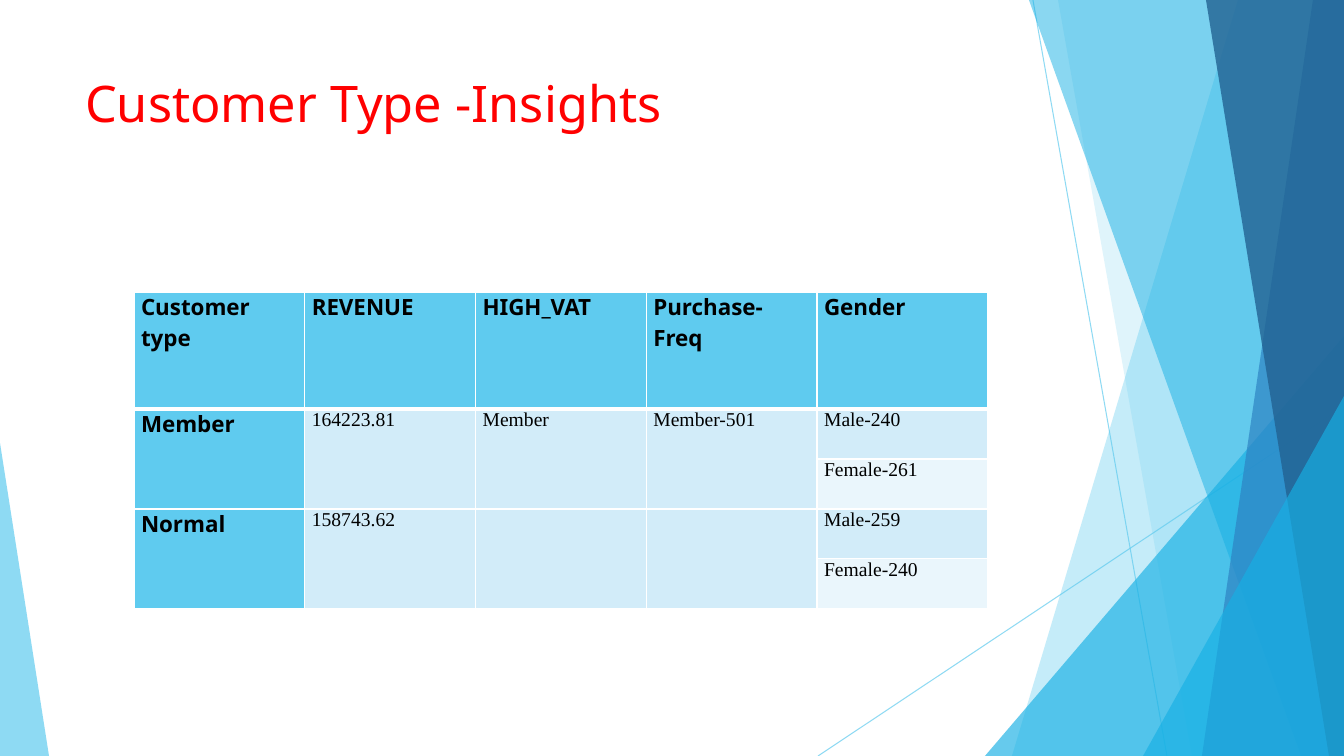
from pptx import Presentation
from pptx import util as u
from pptx.dml.color import RGBColor
from pptx.enum import shapes, text
from pptx.oxml.ns import qn
from lxml import etree

PX = 914400 / 100.8
WIDTH, HEIGHT = 1344, 756

SKY = RGBColor(0x5F, 0xCB, 0xEF)
CYAN = RGBColor(0x17, 0xB0, 0xE4)
BLUE = RGBColor(0x2E, 0x83, 0xC3)
NAVY = RGBColor(0x22, 0x62, 0x92)
PALE = RGBColor(0xD2, 0xEC, 0xF9)
PALEST = RGBColor(0xEA, 0xF6, 0xFC)
RED = RGBColor(0xFF, 0, 0)
BLACK = RGBColor(0, 0, 0)
WHITE = RGBColor(0xFF, 0xFF, 0xFF)

TITLE = "Customer Type -Insights"
TITLE_BOX = (75, 67, 948, 145)

HEADERS = ["Customer type", "REVENUE", "HIGH_VAT", "Purchase-Freq", "Gender"]
# Customer type, revenue, high VAT, purchase frequency, gender counts
CUSTOMERS = [
    ("Member", "164223.81", "Member", "Member-501", ("Male-240", "Female-261")),
    ("Normal", "158743.62", "", "", ("Male-259", "Female-240")),
]
TABLE_LEFT, TABLE_TOP, TABLE_WIDTH = 134, 292, 854
HEADER_HEIGHT, ROW_HEIGHT = 117, 50

# Hairlines: start x, start y, end x, end y
HAIRLINES = [(1033, 0, 1167, HEIGHT), (WIDTH, 406, 818, HEIGHT)]
# Bands reach the right edge: top left x, bottom left x, colour, opacity %
# Triangles: left, top, width, height, apex (0 left, 1 right), colour, opacity %
FACETS = [
    ("band", 1238, 1012, SKY, 36),
    ("band", 1058, 1192, SKY, 20),
    ("triangle", 985, 336, 359, 420, 1, CYAN, 66),
    ("band", 1029, 1301, CYAN, 50),
    ("band", 1313, 1202, BLUE, 70),
    ("band", 1206, 1329, NAVY, 80),
    ("triangle", 1143, 396, 201, 360, 1, CYAN, 66),
    ("triangle", 0, 443, 49, 313, 0, SKY, 70),
]


def px(*lengths):
    return [u.Emu(round(length * PX)) for length in lengths]


def set_opacity(shape, percent):
    for color in shape._element.iter(qn("a:srgbClr")):
        etree.SubElement(color, qn("a:alpha"), val=str(percent * 1000))


def add_hairline(page, ends):
    line = page.shapes.add_connector(shapes.MSO_CONNECTOR.STRAIGHT, *px(*ends))
    line.line.color.rgb = SKY
    line.line.width = u.Pt(0.75)
    set_opacity(line, 70)
    etree.SubElement(line._element.spPr, qn("a:effectLst"))


def add_facet(page, kind, *geometry, color, opacity):
    if kind == "band":
        top_x, bottom_x = geometry
        outline = page.shapes.build_freeform(top_x, 0, scale=PX)
        outline.add_line_segments(
            [(WIDTH, 0), (WIDTH, HEIGHT), (bottom_x, HEIGHT)], close=True)
        shape = outline.convert_to_shape()
    else:
        *box, apex = geometry
        shape = page.shapes.add_shape(
            shapes.MSO_SHAPE.ISOSCELES_TRIANGLE, *px(*box))
        shape.adjustments[0] = apex
    shape.shadow.inherit = False
    shape.fill.solid()
    shape.fill.fore_color.rgb = color
    shape.line.fill.background()
    set_opacity(shape, opacity)


def set_borders(cell, top, bottom):
    """Draw white borders; top and bottom widths are in points."""
    widths = {"a:lnL": 1, "a:lnR": 1, "a:lnT": top, "a:lnB": bottom}
    properties = cell._tc.get_or_add_tcPr()
    for place, (tag, width) in enumerate(widths.items()):
        border = etree.Element(qn(tag), w=str(u.Pt(width)))
        fill = etree.SubElement(border, qn("a:solidFill"))
        etree.SubElement(fill, qn("a:srgbClr"), val=str(WHITE))
        properties.insert(place, border)


def format_cell(cell, row, column):
    heading = row == 0 or column == 0
    cell.margin_left = cell.margin_right = u.Inches(0.07)
    cell.margin_top = cell.margin_bottom = 0
    cell.fill.solid()
    cell.fill.fore_color.rgb = SKY if heading else PALE if row % 2 else PALEST
    set_borders(cell, top=3 if row == 1 else 1, bottom=3 if row == 0 else 1)
    font = cell.text_frame.paragraphs[0].font
    font.name = "Noto Sans" if heading else "Times New Roman"
    font.size = u.Pt(16 if heading else 14)
    font.bold = heading
    font.color.rgb = BLACK


def add_customer_table(page):
    row_count = 1 + 2 * len(CUSTOMERS)
    height = HEADER_HEIGHT + ROW_HEIGHT * (row_count - 1)
    table = page.shapes.add_table(
        row_count, len(HEADERS),
        *px(TABLE_LEFT, TABLE_TOP, TABLE_WIDTH, height)).table
    table.first_row = table.horz_banding = False
    for index, row in enumerate(table.rows):
        row.height = px(ROW_HEIGHT if index else HEADER_HEIGHT)[0]

    for column, header in enumerate(HEADERS):
        table.cell(0, column).text = header
    for index, (*values, genders) in enumerate(CUSTOMERS):
        first = 1 + 2 * index
        for column, value in enumerate(values):
            table.cell(first, column).text = value
            table.cell(first, column).merge(table.cell(first + 1, column))
        for offset, gender in enumerate(genders):
            table.cell(first + offset, len(values)).text = gender

    for row in range(row_count):
        for column in range(len(HEADERS)):
            format_cell(table.cell(row, column), row, column)


def add_title(page):
    title = page.shapes.title
    title.left, title.top, title.width, title.height = px(*TITLE_BOX)
    frame = title.text_frame
    frame.text = TITLE
    frame.word_wrap = True
    frame.vertical_anchor = text.MSO_ANCHOR.TOP
    para = frame.paragraphs[0]
    para.alignment = text.PP_ALIGN.LEFT
    para.font.name = "Noto Sans"
    para.font.size = u.Pt(36)
    para.font.color.rgb = RED


def main():
    deck = Presentation()
    deck.slide_width, deck.slide_height = px(WIDTH, HEIGHT)
    page = deck.slides.add_slide(deck.slide_layouts[5])
    for ends in HAIRLINES:
        add_hairline(page, ends)
    for kind, *geometry, color, opacity in FACETS:
        add_facet(page, kind, *geometry, color=color, opacity=opacity)
    add_title(page)
    add_customer_table(page)
    deck.save("out.pptx")


if __name__ == "__main__":
    main()
